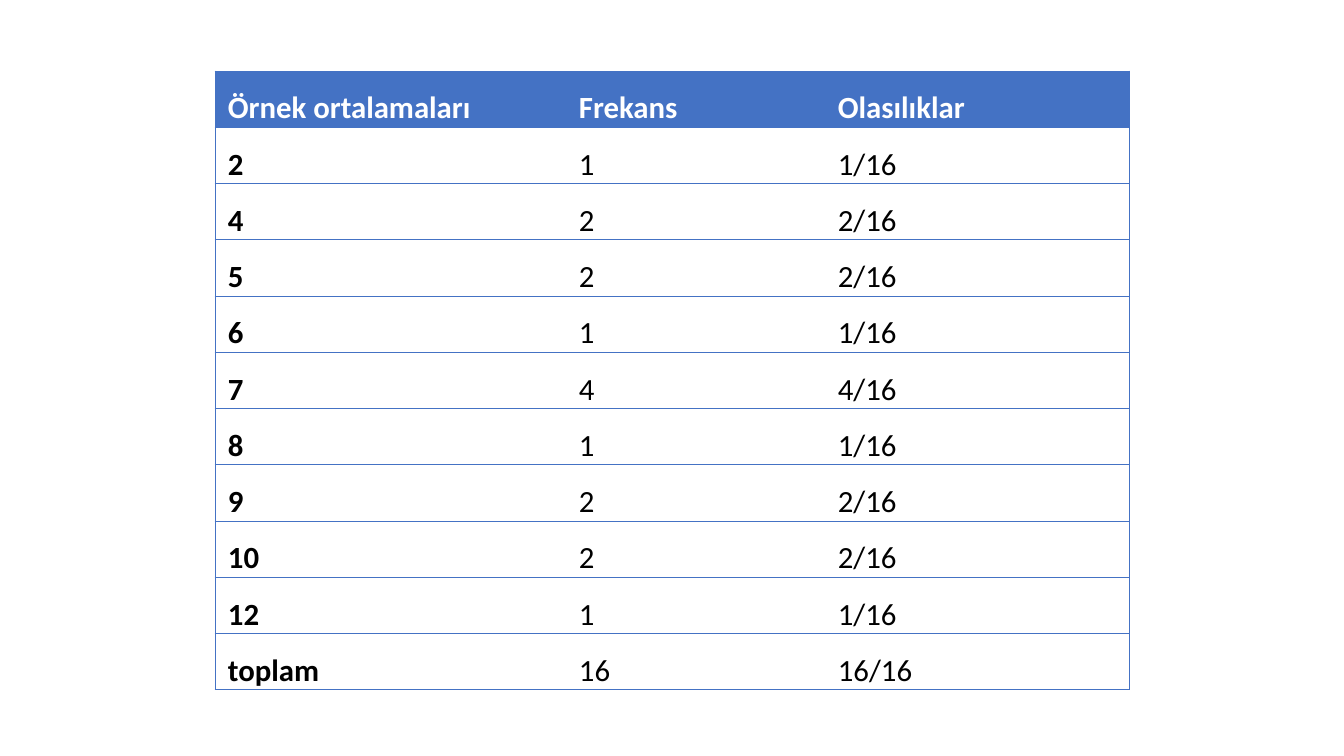
import pptx
import pptx.dml.color
import pptx.enum.text
import pptx.oxml
import pptx.oxml.ns
import pptx.util

PX = 914400 / 100.8
COLORS = {"accent": "4472C4", "header_text": "FFFFFF", "text": "000000"}

HEADINGS = ("Örnek ortalamaları", "Frekans", "Olasılıklar")
FREQUENCIES = {"2": 1, "4": 2, "5": 2, "6": 1, "7": 4, "8": 1, "9": 2, "10": 2, "12": 1}


def px(length):
    return pptx.util.Emu(round(length * PX))


def rgb(name):
    return pptx.dml.color.RGBColor.from_string(COLORS[name])


class SlideBuilder:
    font_name = "Calibri"
    font_size = 22
    border_width = 0.5

    def __init__(self, deck):
        self.page = deck.slides.add_slide(deck.slide_layouts[6])

    def table(self, left, top, widths, row_height, rows):
        frame = self.page.shapes.add_table(
            len(rows), len(widths), px(left), px(top),
            px(sum(widths)), px(row_height * len(rows)))
        table = frame.table
        table.horz_banding = False
        for column, width in zip(table.columns, widths):
            column.width = px(width)
        for row_index, values in enumerate(rows):
            table.rows[row_index].height = px(row_height)
            for column_index, value in enumerate(values):
                cell = table.cell(row_index, column_index)
                # Horizontal rules everywhere, vertical rules only outside
                self.borders(cell, {
                    "lnL": column_index == 0,
                    "lnR": column_index == len(widths) - 1,
                    "lnT": True,
                    "lnB": True,
                })
                self.cell(cell, value, header=row_index == 0, bold=row_index == 0 or column_index == 0)

    def borders(self, cell, sides):
        properties = cell._tc.get_or_add_tcPr()
        namespace = pptx.oxml.ns.nsdecls("a")
        width = pptx.util.Pt(self.border_width)
        for side, visible in sides.items():
            paint = (f'<a:solidFill><a:srgbClr val="{COLORS["accent"]}"/></a:solidFill>'
                     if visible else "<a:noFill/>")
            properties.append(pptx.oxml.parse_xml(
                f'<a:{side} {namespace} w="{width}">{paint}</a:{side}>'))

    def cell(self, cell, value, header, bold):
        if header:
            cell.fill.solid()
            cell.fill.fore_color.rgb = rgb("accent")
        else:
            cell.fill.background()
        cell.margin_left = cell.margin_right = px(13)
        cell.margin_top = cell.margin_bottom = 0
        cell.text_frame.text = value
        para = cell.text_frame.paragraphs[0]
        para.alignment = pptx.enum.text.PP_ALIGN.JUSTIFY
        para.line_spacing = 1.5
        para.space_after = pptx.util.Pt(8)
        font = para.runs[0].font
        font.name = self.font_name
        font.size = pptx.util.Pt(self.font_size)
        font.bold = bold
        font.color.rgb = rgb("header_text" if header else "text")


def main():
    deck = pptx.Presentation()
    deck.slide_width, deck.slide_height = px(1344), px(756)
    builder = SlideBuilder(deck)

    # Frequency table: each probability is the frequency over the total
    total = sum(FREQUENCIES.values())
    counts = {**FREQUENCIES, "toplam": total}
    rows = [HEADINGS] + [(mean, str(count), f"{count}/{total}") for mean, count in counts.items()]
    builder.table(215, 71, (351, 259, 304), 56, rows)

    deck.save("out.pptx")


if __name__ == "__main__":
    main()
